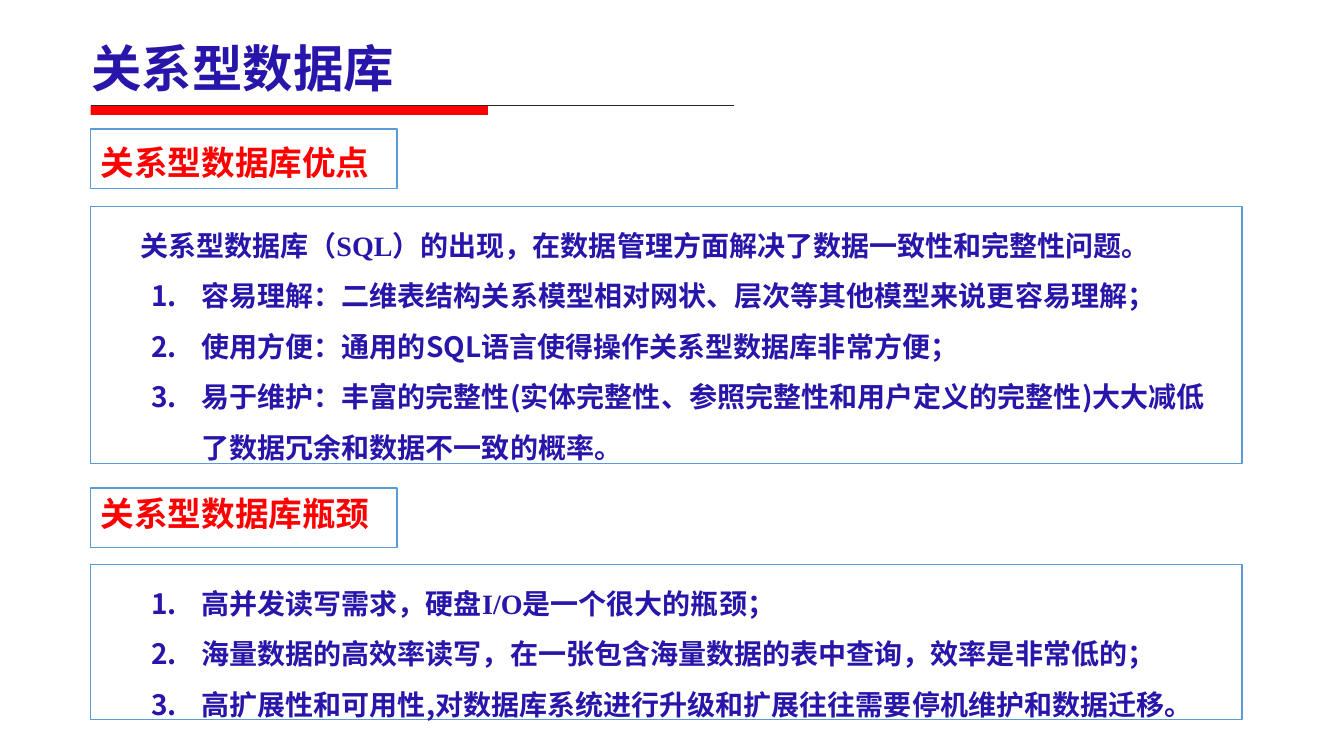
from lxml.etree import SubElement
from pptx import Presentation
from pptx.dml.color import RGBColor
from pptx.enum.shapes import MSO_CONNECTOR, MSO_SHAPE
from pptx.enum.text import MSO_ANCHOR, PP_ALIGN
from pptx.oxml.ns import qn
from pptx.util import Inches, Pt

COLORS = {"text": "2816AA", "red": "FF0000", "border": "5B9BD5",
          "white": "FFFFFF", "rule": "262626"}
SANS = "Noto Sans CJK SC"
SERIF = "Times New Roman"
LEFT = 0.9


def add_panel(top, width, height):
    """Add a white, thinly outlined box and return its text frame."""
    shape = slide.shapes.add_shape(MSO_SHAPE.RECTANGLE, Inches(LEFT), Inches(top),
                                   Inches(width), Inches(height))
    shape.shadow.inherit = False
    shape.fill.solid()
    shape.fill.fore_color.rgb = RGBColor.from_string(COLORS["white"])
    shape.line.color.rgb = RGBColor.from_string(COLORS["border"])
    shape.line.width = Pt(1)
    shape.text_frame.word_wrap = True
    shape.text_frame.vertical_anchor = MSO_ANCHOR.TOP
    return shape.text_frame


def add_run(paragraph, text, size, color, latin=SANS):
    paragraph.alignment = PP_ALIGN.LEFT
    run = paragraph.add_run()
    run.text = text
    run.font.size = Pt(size)
    run.font.bold = True
    run.font.color.rgb = RGBColor.from_string(COLORS[color])
    run.font.name = latin
    SubElement(run.font._element, qn("a:ea")).set("typeface", SANS)


presentation = Presentation()
presentation.slide_width = Inches(13.33)
presentation.slide_height = Inches(7.5)
slide = presentation.slides.add_slide(presentation.slide_layouts[6])

# Title with its red bar and thin rule
title = slide.shapes.add_textbox(Inches(0.81), Inches(0.32), Inches(6.75), Inches(0.64))
title.text_frame.word_wrap = True
title.text_frame.vertical_anchor = MSO_ANCHOR.MIDDLE
paragraph = title.text_frame.paragraphs[0]
paragraph.line_spacing = 1.1
paragraph.space_after = Pt(6)
add_run(paragraph, "关系型数据库", 36, "text")

rule = slide.shapes.add_connector(MSO_CONNECTOR.STRAIGHT, Inches(LEFT), Inches(1.05),
                                  Inches(7.28), Inches(1.05))
rule.line.color.rgb = RGBColor.from_string(COLORS["rule"])
rule.line.width = Pt(0.75)
SubElement(rule._element.spPr, qn("a:effectLst"))

bar = slide.shapes.add_shape(MSO_SHAPE.RECTANGLE, Inches(LEFT), Inches(1.05),
                             Inches(3.94), Inches(0.09))
bar.shadow.inherit = False
bar.fill.solid()
bar.fill.fore_color.rgb = RGBColor.from_string(COLORS["red"])
bar.line.fill.background()

# Section headings: top, line spacing, text
headings = [(1.28, 1.2, "关系型数据库优点"), (4.84, 1.0, "关系型数据库瓶颈")]
for top, spacing, text in headings:
    paragraph = add_panel(top, 3.04, 0.59).paragraphs[0]
    paragraph.line_spacing = spacing
    add_run(paragraph, text, 24, "red")

# Section bodies: top, height, paragraphs as (numbered, runs of text and Latin font)
bodies = [
    (2.05, 2.55, [
        (False, [("关系型数据库", SANS), ("（SQL）", SERIF),
                 ("的出现，在数据管理方面解决了数据一致性和完整性问题。", SANS)]),
        (True, [("容易理解：二维表结构关系模型相对网状、层次等其他模型来说更容易理解；", SANS)]),
        (True, [("使用方便：通用的SQL语言使得操作关系型数据库非常方便；", SANS)]),
        (True, [("易于维护：丰富的完整性(实体完整性、参照完整性和用户定义的完整性)"
                 "大大减低了数据冗余和数据不一致的概率。", SANS)]),
    ]),
    (5.6, 1.54, [
        (True, [("高并发读写需求，硬盘", SANS), ("I/O", SERIF), ("是一个很大的瓶颈；", SANS)]),
        (True, [("海量数据的高效率读写，在一张包含海量数据的表中查询，效率是非常低的；", SANS)]),
        (True, [("高扩展性和可用性,对数据库系统进行升级和扩展往往需要停机维护和数据迁移。", SANS)]),
    ]),
]
for top, height, paragraphs in bodies:
    frame = add_panel(top, 11.42, height)
    for index, (numbered, runs) in enumerate(paragraphs):
        paragraph = frame.add_paragraph() if index else frame.paragraphs[0]
        paragraph.line_spacing = 1.5
        margin, indent = (1, -0.5) if numbered else (0, 0.39)
        properties = paragraph._p.get_or_add_pPr()
        properties.set("marL", str(Inches(margin)))
        properties.set("indent", str(Inches(indent)))
        if numbered:
            paragraph.level = 1
            SubElement(properties, qn("a:buFont")).set("typeface", SANS)
            SubElement(properties, qn("a:buAutoNum")).set("type", "arabicPeriod")
        for text, latin in runs:
            add_run(paragraph, text, 20, "text", latin)

presentation.save("out.pptx")
